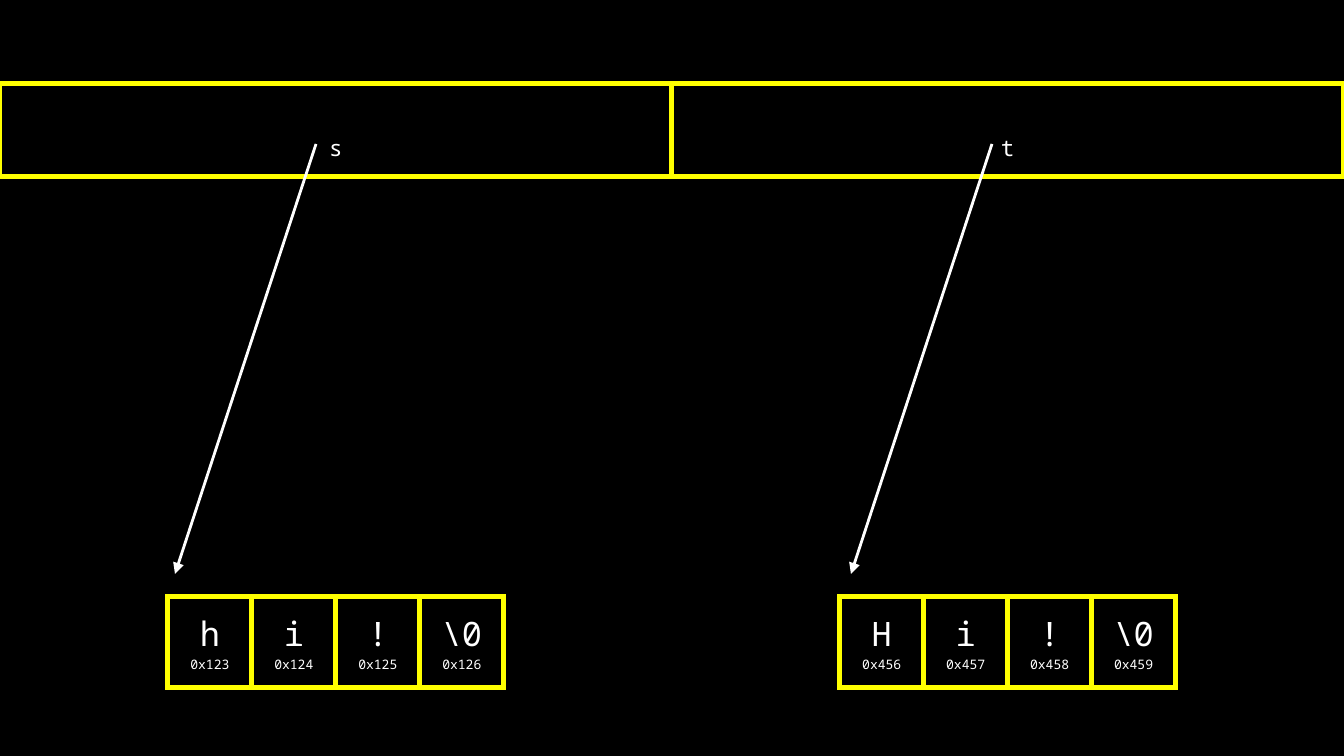
"""Build a memory grid slide with two pointers, s and t, to two strings."""
import lxml.etree
import pptx
import pptx.dml.color
import pptx.enum.shapes
import pptx.enum.text
import pptx.oxml.ns
import pptx.util

PX = 914400 / 134.4
CELL, COLS, ROWS = 84, 16, 12
POINTER_ROW, STRING_ROW = 1, 7
POINTERS = {0: "s", 8: "t"}
STRINGS = {2: ("hi!", 0x123), 10: ("Hi!", 0x456)}
SIDES = {"L": (0, -1), "R": (0, 1), "T": (-1, 0), "B": (1, 0)}
qn = pptx.oxml.ns.qn


def color(value):
    return pptx.dml.color.RGBColor.from_string(value)


def add_text(p, text, size):
    p.alignment = pptx.enum.text.PP_ALIGN.CENTER
    r = p.add_run()
    r.text = text
    r.font.size = pptx.util.Pt(size)
    r.font.name = "Noto Sans Mono"
    r.font.color.rgb = color("FFFFFF")


prs = pptx.Presentation()
prs.slide_width = round(1344 * PX)
prs.slide_height = round(756 * PX)
s = prs.slides.add_slide(prs.slide_layouts[6])
s.background.fill.solid()
s.background.fill.fore_color.rgb = color("000000")

frame = s.shapes.add_table(ROWS, COLS, 0, 0, round(COLS * CELL * PX), round(ROWS * CELL * PX))
table = frame.table
table.first_row = False
table.horz_banding = False
style = frame._element.find(".//" + qn("a:tableStyleId"))
style.text = "{2D5ABB26-0587-4C30-8999-92F81FD0307C}"
for column in table.columns:
    column.width = round(CELL * PX)
for row in table.rows:
    row.height = round(CELL * PX)
table.rows[POINTER_ROW].height = round(93 * PX)
table.rows[STRING_ROW].height = round(90 * PX)

boxed = {(POINTER_ROW, col) for col in range(COLS)}
boxed |= {(STRING_ROW, first + i) for first in STRINGS for i in range(4)}
for row in range(ROWS):
    for col in range(COLS):
        cell = table.cell(row, col)
        cell.margin_left = cell.margin_right = pptx.util.Inches(0.1)
        cell.margin_top = cell.margin_bottom = pptx.util.Inches(0.1)
        tcPr = cell._tc.get_or_add_tcPr()
        for side, (down, across) in SIDES.items():
            ln = lxml.etree.SubElement(tcPr, qn("a:ln" + side), w=str(pptx.util.Pt(3)))
            if (row, col) in boxed or (row + down, col + across) in boxed:
                fill = lxml.etree.SubElement(ln, qn("a:solidFill"))
                lxml.etree.SubElement(fill, qn("a:srgbClr"), val="FFFF00")
            else:
                lxml.etree.SubElement(ln, qn("a:noFill"))
        cell.fill.background()

for col, name in POINTERS.items():
    cell = table.cell(POINTER_ROW, col)
    cell.merge(table.cell(POINTER_ROW, col + 7))
    cell.vertical_anchor = pptx.enum.text.MSO_ANCHOR.BOTTOM
    add_text(cell.text_frame.paragraphs[0], name, 12)

for first, (text, address) in STRINGS.items():
    for i, char in enumerate([*text, "\\0"]):
        tf = table.cell(STRING_ROW, first + i).text_frame
        add_text(tf.paragraphs[0], char, 18)
        add_text(tf.add_paragraph(), f"0x{address + i:x}", 7)

for x in (316, 992):
    arrow = s.shapes.add_connector(
        pptx.enum.shapes.MSO_CONNECTOR.STRAIGHT,
        round(x * PX), round(144 * PX), round((x - 141) * PX), round(574 * PX))
    arrow.line.width = pptx.util.Pt(1.5)
    arrow.line.color.rgb = color("FFFFFF")
    lxml.etree.SubElement(arrow.line._get_or_add_ln(), qn("a:tailEnd"), type="triangle")
    lxml.etree.SubElement(arrow._element.spPr, qn("a:effectLst"))

prs.save("out.pptx")
